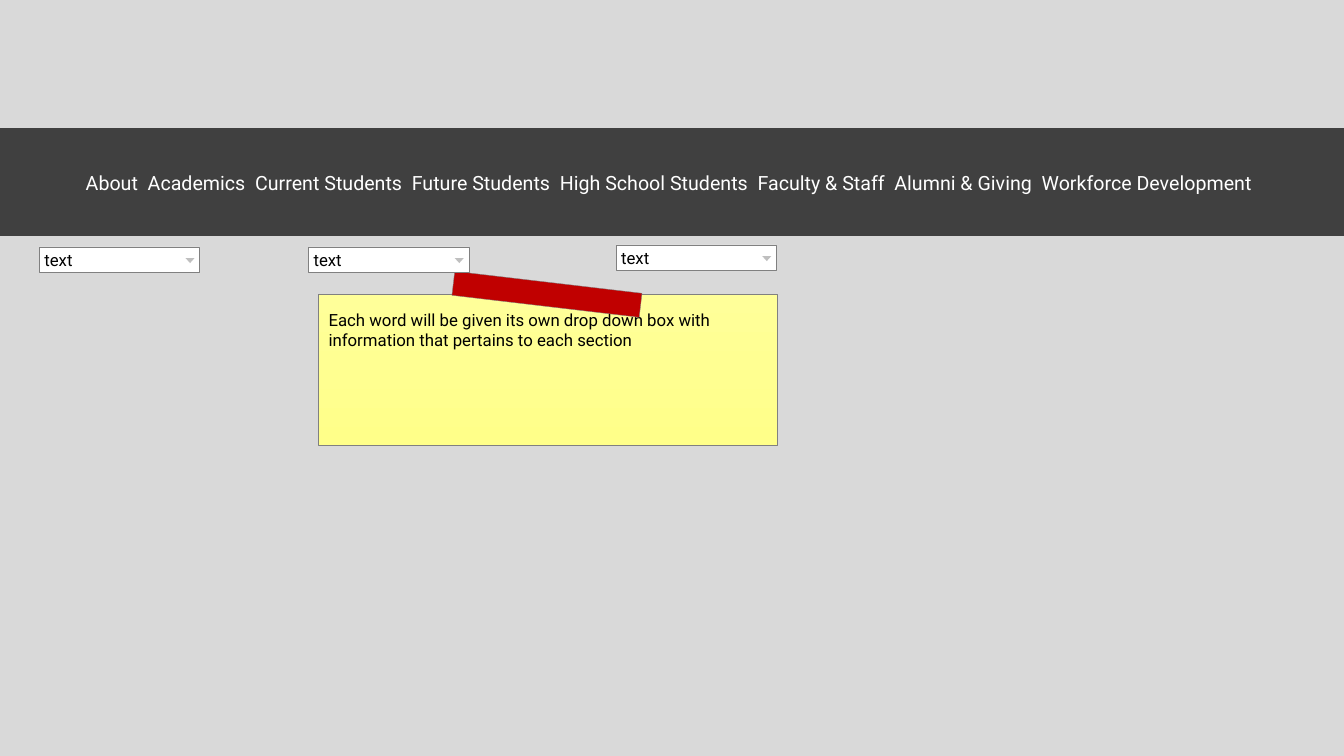
from dataclasses import dataclass

from lxml.etree import SubElement
from pptx import Presentation
from pptx.dml.color import RGBColor
from pptx.enum.shapes import MSO_SHAPE as Preset
from pptx.enum.text import MSO_ANCHOR as Anchor, PP_ALIGN as Align
from pptx.oxml.ns import qn
from pptx.shapes.autoshape import Shape
from pptx.slide import Slide
from pptx.util import Inches, Pt

FONT = "Roboto"
BACKGROUND = RGBColor(0xD9, 0xD9, 0xD9)
NAV_FILL = RGBColor(0x0D, 0x0D, 0x0D)
NAV_LINE = RGBColor(0x40, 0x40, 0x40)
WHITE = RGBColor(0xFF, 0xFF, 0xFF)
BLACK = RGBColor(0x00, 0x00, 0x00)
OUTLINE = RGBColor(0x80, 0x80, 0x80)
ARROW = RGBColor(0xBF, 0xBF, 0xBF)
NOTE_TOP = RGBColor(0xFF, 0xFF, 0x99)
NOTE_BOTTOM = RGBColor(0xFF, 0xFF, 0x89)
TAPE = RGBColor(0xC0, 0x00, 0x00)

NAV_ITEMS = ["About", "Academics", "Current Students", "Future Students",
             "High School Students", "Faculty & Staff", "Alumni & Giving",
             "Workforce Development"]
NOTE_TEXT = ("Each word will be given its own drop down box with "
             "information that pertains to each section")


@dataclass
class Box:
    left: float
    top: float
    width: float
    height: float


@dataclass
class Dropdown:
    left: float
    top: float
    label: str = "text"


DROPDOWNS = [Dropdown(0.39, 2.45), Dropdown(3.06, 2.45), Dropdown(6.11, 2.43)]


def add_box(slide: Slide, box: Box, fill: RGBColor,
            line: RGBColor | None = OUTLINE, line_width: float = 0.25,
            preset: Preset = Preset.RECTANGLE, rotation: float = 0) -> Shape:
    shape = slide.shapes.add_shape(preset, Inches(box.left), Inches(box.top),
                                   Inches(box.width), Inches(box.height))
    shape.shadow.inherit = False
    shape.rotation = rotation
    shape.fill.solid()
    shape.fill.fore_color.rgb = fill
    if line is None:
        shape.line.fill.background()
    else:
        shape.line.color.rgb = line
        shape.line.width = Pt(line_width)
    return shape


def add_text(shape: Shape, text: str, margins: tuple[float, float, float, float],
             size: float = 12, color: RGBColor = BLACK,
             align: Align = Align.LEFT, anchor: Anchor = Anchor.MIDDLE) -> None:
    frame = shape.text_frame
    frame.word_wrap = True
    frame.vertical_anchor = anchor
    (frame.margin_left, frame.margin_top,
     frame.margin_right, frame.margin_bottom) = map(Inches, margins)
    paragraph = frame.paragraphs[0]
    paragraph.alignment = align
    run = paragraph.add_run()
    run.text = text
    run.font.name = FONT
    run.font.size = Pt(size)
    run.font.color.rgb = color


def add_navigation(slide: Slide) -> None:
    bar = add_box(slide, Box(0, 1.28, 13.33, 1.06), NAV_FILL, NAV_LINE, 1)
    fill_color = bar.fill._xPr.find(qn("a:solidFill"))[0]
    SubElement(fill_color, qn("a:alpha"), val="75000")
    add_text(bar, "  ".join(NAV_ITEMS), (0.05, 0.05, 0.1, 0.05), 14, WHITE,
             Align.CENTER)


def add_note(slide: Slide) -> None:
    note = add_box(slide, Box(3.16, 2.92, 4.55, 1.5), NOTE_TOP)
    note.fill.gradient()
    note.fill.gradient_angle = 270
    for stop, color in zip(note.fill.gradient_stops, (NOTE_TOP, NOTE_BOTTOM)):
        stop.color.rgb = color
    add_text(note, NOTE_TEXT, (0.1, 0.15, 0.1, 0.05), anchor=Anchor.TOP)
    add_box(slide, Box(4.49, 2.8, 1.87, 0.24), TAPE, rotation=6.7)


def add_dropdown(slide: Slide, dropdown: Dropdown) -> None:
    field = add_box(slide, Box(dropdown.left, dropdown.top, 1.59, 0.25), WHITE)
    add_text(field, dropdown.label, (0.05, 0.05, 0.05, 0.05))
    add_box(slide, Box(dropdown.left + 1.45, dropdown.top + 0.11, 0.09, 0.05),
            ARROW, line=None, preset=Preset.ISOSCELES_TRIANGLE, rotation=180)


def main() -> None:
    presentation = Presentation()
    presentation.slide_width = Inches(13.33)
    presentation.slide_height = Inches(7.5)
    slide = presentation.slides.add_slide(presentation.slide_layouts[6])
    slide.background.fill.solid()
    slide.background.fill.fore_color.rgb = BACKGROUND

    # Navigation bar, sticky note with tape, then the drop-down fields
    add_navigation(slide)
    add_note(slide)
    for dropdown in DROPDOWNS:
        add_dropdown(slide, dropdown)

    presentation.save("out.pptx")


if __name__ == "__main__":
    main()
